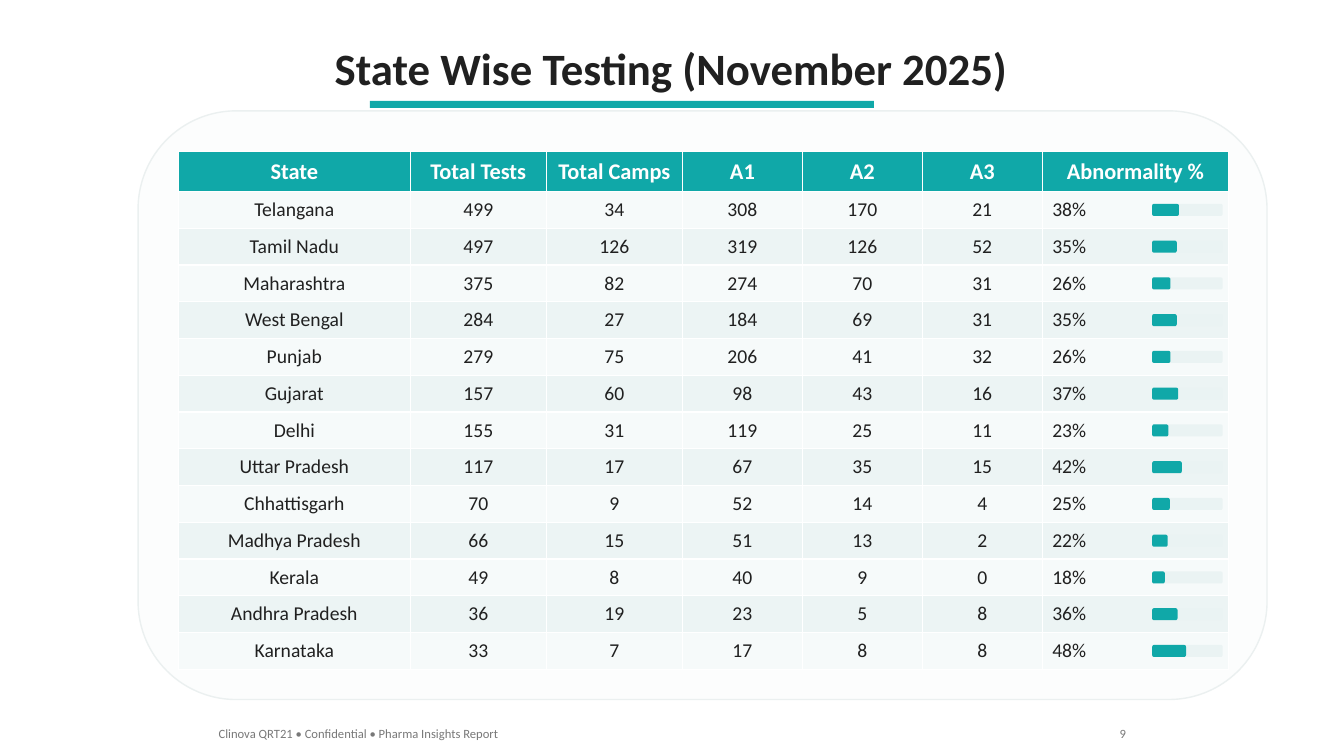
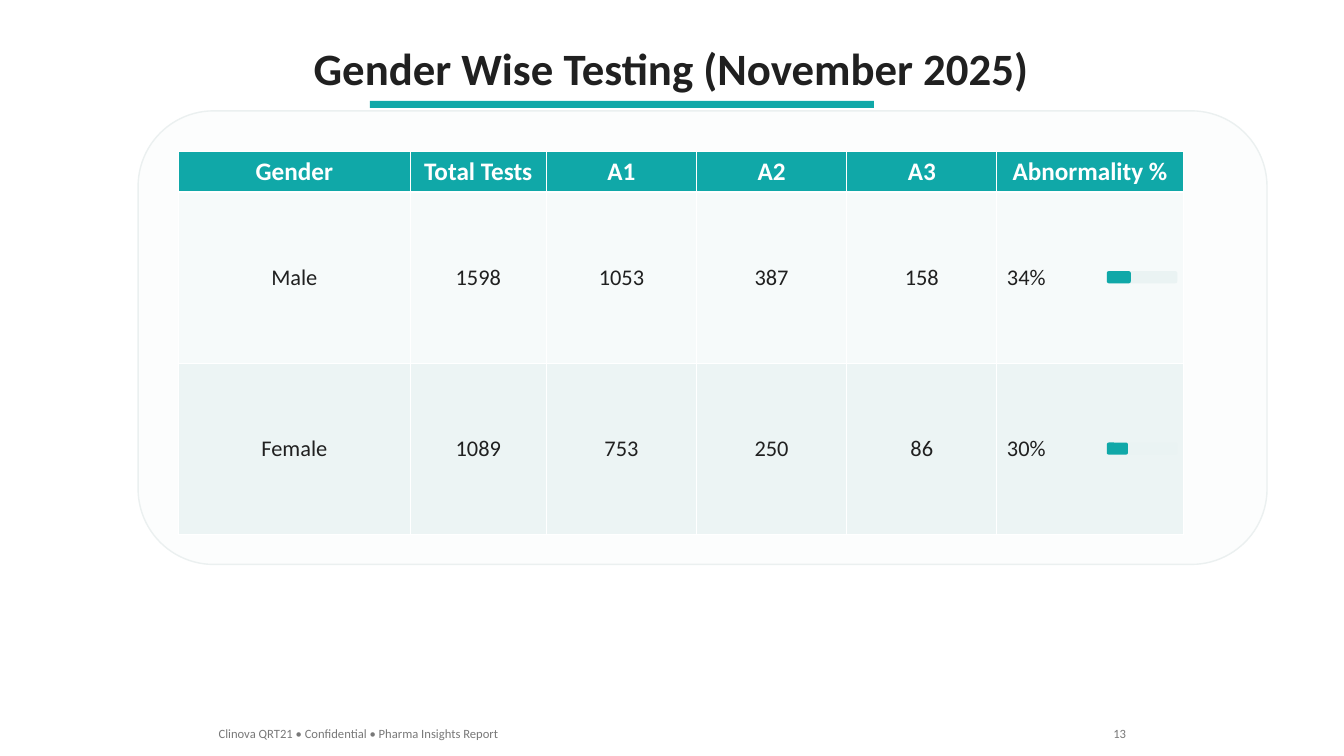
from pptx import Presentation
from pptx.dml.color import RGBColor
from pptx.enum.shapes import MSO_SHAPE
from pptx.enum.text import MSO_ANCHOR, MSO_AUTO_SIZE, PP_ALIGN
from pptx.util import Inches, Pt

# Colours
TEAL = RGBColor(0x10, 0xA8, 0xA8)
INK = RGBColor(0x20, 0x20, 0x20)
GREY = RGBColor(0x78, 0x78, 0x78)
WHITE = RGBColor(0xFF, 0xFF, 0xFF)
PANEL_FILL = RGBColor(0xFC, 0xFD, 0xFD)
PANEL_LINE = RGBColor(0xEB, 0xF0, 0xF0)
TRACK = RGBColor(0xEA, 0xF3, 0xF3)
ROW_FILLS = (RGBColor(0xF6, 0xFA, 0xFA), RGBColor(0xEC, 0xF4, 0xF4))

# Grid: every length counts cells of a tenth of an inch
CELL = Inches(0.1)
SLIDE_WIDTH, SLIDE_HEIGHT = 133.33, 75
PANEL_LEFT, PANEL_TOP, PANEL_WIDTH = 13.7, 11, 112
PADDING, PADDING_BOTTOM = 4, 3
HEADER_HEIGHT = 4
BAR_WIDTH, BAR_HEIGHT, BAR_INSET = 7, 1.2, 7.6

FOOTER = "Clinova QRT21 • Confidential • Pharma Insights Report"


def grid(*cells):
    return [round(count * CELL) for count in cells]


class Report:
    """Holds the shared style and the slide being built."""

    fonts = {
        "title": {"name": "Calibri", "size": Pt(32), "bold": True},
        "header": {"name": "Calibri", "bold": True},
        "body": {"name": "Calibri", "bold": False},
        "footer": {"name": "Calibri", "size": Pt(9), "bold": False},
    }

    def __init__(self):
        self.presentation = Presentation()
        width, height = grid(SLIDE_WIDTH, SLIDE_HEIGHT)
        self.presentation.slide_width = width
        self.presentation.slide_height = height
        self.slide = None

    def add_text(self, frame, text, style, color, align, size=None):
        paragraph = frame.paragraphs[0]
        paragraph.alignment = align
        run = paragraph.add_run()
        run.text = text
        values = dict(self.fonts[style])
        if size:
            values["size"] = Pt(size)
        for name, value in values.items():
            setattr(run.font, name, value)
        run.font.color.rgb = color

    def shape(self, kind, box, fill, line=None):
        shape = self.slide.shapes.add_shape(kind, *grid(*box))
        shape.shadow.inherit = False
        shape.fill.solid()
        shape.fill.fore_color.rgb = fill
        if line is None:
            shape.line.fill.background()
        else:
            shape.line.color.rgb = line
            shape.line.width = Pt(1)

    def title(self, text):
        title = self.slide.shapes.title
        box = dict(zip(("left", "top", "width", "height"),
                       grid(0, 3.5, 133.2, 6.4)))
        for name, value in box.items():
            setattr(title, name, value)
        title.text_frame.auto_size = MSO_AUTO_SIZE.NONE
        self.add_text(title.text_frame, text, "title", INK, PP_ALIGN.CENTER)
        self.shape(MSO_SHAPE.RECTANGLE, (36.7, 10, 50, 0.7), TEAL)

    def footer(self, number):
        for text, left, width, align in (
            (FOOTER, 20.7, 40, PP_ALIGN.LEFT),
            (str(number), 102.7, 10, PP_ALIGN.RIGHT),
        ):
            box = self.slide.shapes.add_textbox(*grid(left, 71.5, width, 2.5))
            box.text_frame.word_wrap = True
            self.add_text(box.text_frame, text, "footer", GREY, align)

    def panel(self, body_height):
        height = PADDING + HEADER_HEIGHT + body_height + PADDING_BOTTOM
        self.shape(MSO_SHAPE.ROUNDED_RECTANGLE,
                   (PANEL_LEFT, PANEL_TOP, PANEL_WIDTH, height),
                   PANEL_FILL, PANEL_LINE)

    def table(self, headers, rows, widths, body_height, body_size):
        left, top = PANEL_LEFT + PADDING, PANEL_TOP + PADDING
        row_height = body_height / len(rows)
        table = self.slide.shapes.add_table(
            len(rows) + 1, len(headers),
            *grid(left, top, sum(widths), HEADER_HEIGHT + body_height)).table
        table.horz_banding = False
        for column, width in zip(table.columns, grid(*widths)):
            column.width = width
        heights = grid(HEADER_HEIGHT, *[row_height] * len(rows))
        for row, height in zip(table.rows, heights):
            row.height = height

        # Header and body cells; the last column holds the percentage
        last = len(headers) - 1
        for row_index, values in enumerate([headers, *rows]):
            is_header = row_index == 0
            fill = TEAL if is_header else ROW_FILLS[(row_index - 1) % 2]
            for column_index, value in enumerate(values):
                is_share = column_index == last and not is_header
                cell = table.cell(row_index, column_index)
                cell.vertical_anchor = MSO_ANCHOR.MIDDLE
                cell.fill.solid()
                cell.fill.fore_color.rgb = fill
                self.add_text(cell.text_frame,
                              f"{value}%" if is_share else str(value),
                              "header" if is_header else "body",
                              WHITE if is_header else INK,
                              PP_ALIGN.LEFT if is_share else PP_ALIGN.CENTER,
                              body_size + 2 if is_header else body_size)

        # Progress bars, centred on each body row
        bar_left = left + sum(widths) - BAR_INSET
        for index, row in enumerate(rows):
            middle = top + HEADER_HEIGHT + (index + 0.5) * row_height
            bar_top = middle - BAR_HEIGHT / 2
            for share, color in ((100, TRACK), (row[-1], TEAL)):
                self.shape(MSO_SHAPE.ROUNDED_RECTANGLE,
                           (bar_left, bar_top, BAR_WIDTH * share / 100,
                            BAR_HEIGHT), color)

    def add_slide(self, title, number, headers, rows, widths,
                  body_height, body_size):
        layout = self.presentation.slide_layouts.get_by_name("Title Only")
        self.slide = self.presentation.slides.add_slide(layout)
        self.title(title)
        self.panel(body_height)
        self.table(headers, rows, widths, body_height, body_size)
        self.footer(number)


STATES = [
    ("Telangana", 499, 34, 308, 170, 21, 38),
    ("Tamil Nadu", 497, 126, 319, 126, 52, 35),
    ("Maharashtra", 375, 82, 274, 70, 31, 26),
    ("West Bengal", 284, 27, 184, 69, 31, 35),
    ("Punjab", 279, 75, 206, 41, 32, 26),
    ("Gujarat", 157, 60, 98, 43, 16, 37),
    ("Delhi", 155, 31, 119, 25, 11, 23),
    ("Uttar Pradesh", 117, 17, 67, 35, 15, 42),
    ("Chhattisgarh", 70, 9, 52, 14, 4, 25),
    ("Madhya Pradesh", 66, 15, 51, 13, 2, 22),
    ("Kerala", 49, 8, 40, 9, 0, 18),
    ("Andhra Pradesh", 36, 19, 23, 5, 8, 36),
    ("Karnataka", 33, 7, 17, 8, 8, 48),
]
GENDERS = [
    ("Male", 1598, 1053, 387, 158, 34),
    ("Female", 1089, 753, 250, 86, 30),
]
GRADES = ("A1", "A2", "A3")


def main():
    report = Report()
    report.add_slide(
        "State Wise Testing (November 2025)", 9,
        ("State", "Total Tests", "Total Camps", *GRADES, "Abnormality %"),
        STATES, (23, 13.5, 13.5, *[11.9] * 3, 18.5),
        body_height=47.4, body_size=14)
    report.add_slide(
        "Gender Wise Testing (November 2025)", 13,
        ("Gender", "Total Tests", *GRADES, "Abnormality %"),
        GENDERS, (23, 13.5, *[14.9] * 3, 18.5),
        body_height=34, body_size=16)
    report.presentation.save("out.pptx")


if __name__ == "__main__":
    main()
